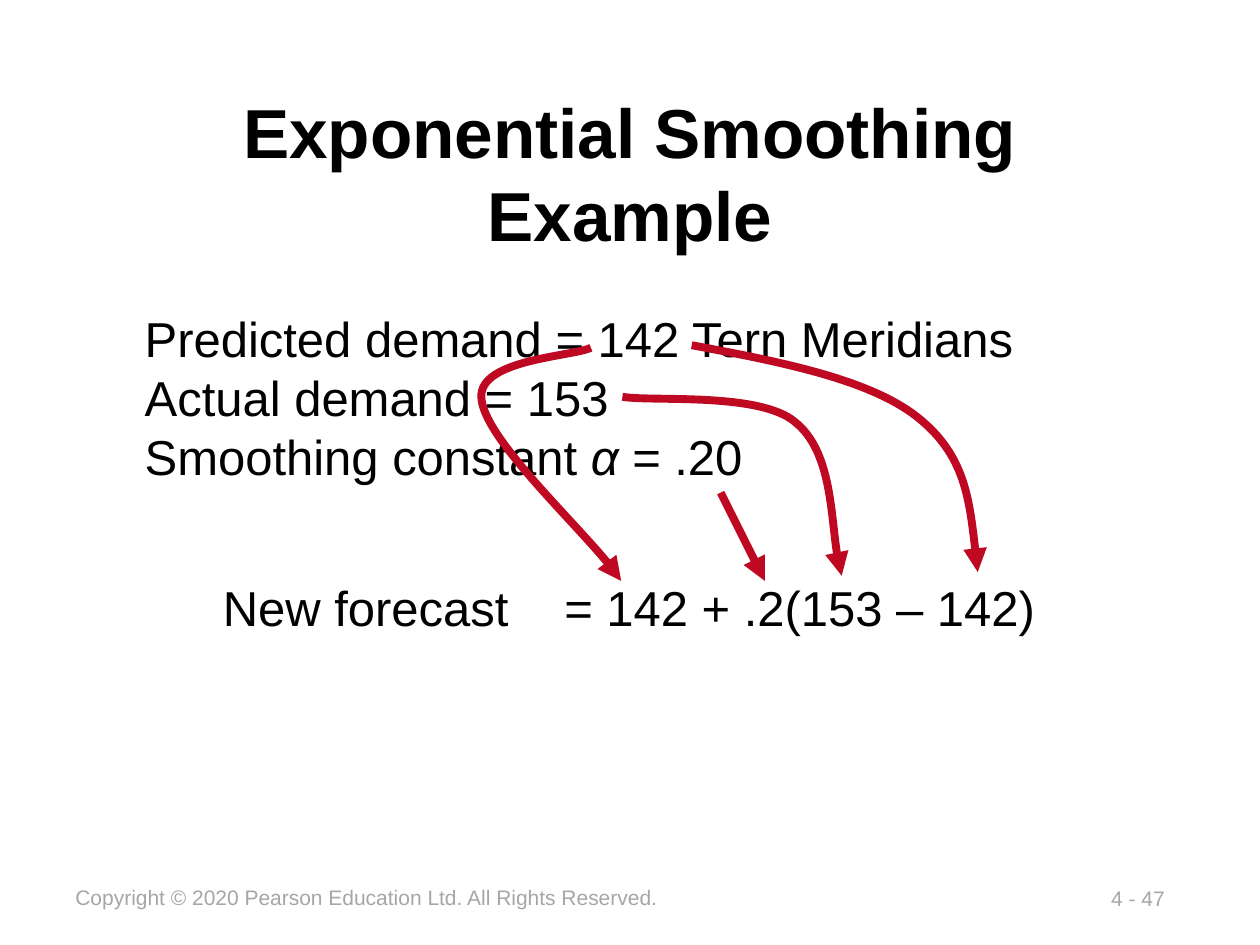
from lxml import etree
from pptx import Presentation
from pptx.dml.color import RGBColor
from pptx.enum.shapes import MSO_CONNECTOR
from pptx.enum.text import MSO_ANCHOR, PP_ALIGN
from pptx.oxml.ns import qn
from pptx.util import Inches, Pt

BLACK = RGBColor(0x00, 0x00, 0x00)
GREY = RGBColor(0xA6, 0xA6, 0xA6)
RED = RGBColor(0xBF, 0x09, 0x22)

BODY = {"name": "Arial", "size": Pt(28), "color": BLACK}
SMALL = {"name": "Arial", "size": Pt(12), "color": GREY}
HEADING = {"name": "Arial", "size": Pt(39.6), "color": BLACK, "bold": True}


def format_font(font, values):
    for key, value in values.items():
        if key == "color":
            font.color.rgb = value
        else:
            setattr(font, key, value)


def style_arrow(arrow):
    arrow.line.color.rgb = RED
    arrow.line.width = Pt(4.5)
    properties = arrow.element.spPr
    etree.SubElement(properties.find(qn("a:ln")), qn("a:tailEnd"), type="triangle")
    etree.SubElement(properties, qn("a:effectLst"))


prs = Presentation()
prs.slide_width, prs.slide_height = Inches(10), Inches(7.5)
slide = prs.slides.add_slide(prs.slide_layouts[5])

# Title
title = slide.shapes.title
title.left, title.top = Inches(0.75), Inches(0.67)
title.width, title.height = Inches(8.5), Inches(1.39)
title.text_frame.text = "Exponential Smoothing Example"
title.text_frame.vertical_anchor = MSO_ANCHOR.MIDDLE
title.text_frame.word_wrap = True
heading = title.text_frame.paragraphs[0]
heading.alignment = PP_ALIGN.CENTER
format_font(heading.runs[0].font, HEADING)

# Text blocks: place, format, line spacing, tab stop, lines made of (text, italic) runs
blocks = [
    ((8.72, 6.98, 0.65, 0.3), SMALL, 1, None, [[("4 - 47", False)]]),
    ((0.5, 6.97, 4.86, 0.3), SMALL, 1, None,
     [[("Copyright © 2020 Pearson Education Ltd. All Rights Reserved.", False)]]),
    ((1.05, 2.4, 7.22, 1.51), BODY, 1, None,
     [[("Predicted demand = 142 Tern Meridians", False)],
      [("Actual demand = 153", False)],
      [("Smoothing constant ", False), ("α", True), (" = .20", False)]]),
    ((1.67, 4.42, 6.71, 0.67), BODY, 1.25, 2.71,
     [[("New forecast\t= 142 + .2(153 – 142)", False)]]),
]
for place, values, spacing, tab, lines in blocks:
    frame = slide.shapes.add_textbox(*map(Inches, place)).text_frame
    frame.word_wrap = False
    for index, line in enumerate(lines):
        paragraph = frame.add_paragraph() if index else frame.paragraphs[0]
        paragraph.line_spacing = spacing
        if tab:
            tab_list = etree.SubElement(paragraph._p.get_or_add_pPr(), qn("a:tabLst"))
            etree.SubElement(tab_list, qn("a:tab"), pos=str(Inches(tab)), algn="l")
        for text, italic in line:
            run = paragraph.add_run()
            run.text = text
            format_font(run.font, {**values, "italic": italic})

# Curved arrows from the given values into the formula: start, then Bézier triples
arrows = slide.shapes.add_group_shape().shapes
curves = [
    [(5.49, 2.74), (6.19, 2.87), (6.9, 3.01), (7.28, 3.31),
     (7.66, 3.61), (7.71, 4.07), (7.76, 4.54)],
    [(4.94, 3.15), (5.17, 3.19), (6.03, 3.11), (6.31, 3.35),
     (6.6, 3.58), (6.6, 4.31), (6.68, 4.57)],
    [(4.69, 2.76), (4.55, 2.83), (3.81, 2.85), (3.82, 3.15),
     (3.83, 3.46), (4.74, 4.31), (4.93, 4.61)],
]
for curve in curves:
    start, *rest = [(Inches(x), Inches(y)) for x, y in curve]
    builder = arrows.build_freeform(*start)
    builder.add_line_segments(rest, close=False)
    value_arrow = builder.convert_to_shape()
    value_arrow.fill.background()
    # Turn every three line segments into one Bézier segment
    outline = value_arrow.element.find(".//" + qn("a:path"))
    segments = outline.findall(qn("a:lnTo"))
    for first in range(0, len(segments), 3):
        bezier = etree.SubElement(outline, qn("a:cubicBezTo"))
        for segment in segments[first:first + 3]:
            bezier.append(segment[0])
            outline.remove(segment)
    style_arrow(value_arrow)

# Straight arrow from the smoothing constant
constant_arrow = arrows.add_connector(
    MSO_CONNECTOR.STRAIGHT, Inches(5.72), Inches(3.91), Inches(6.07), Inches(4.61))
style_arrow(constant_arrow)

prs.save("out.pptx")
